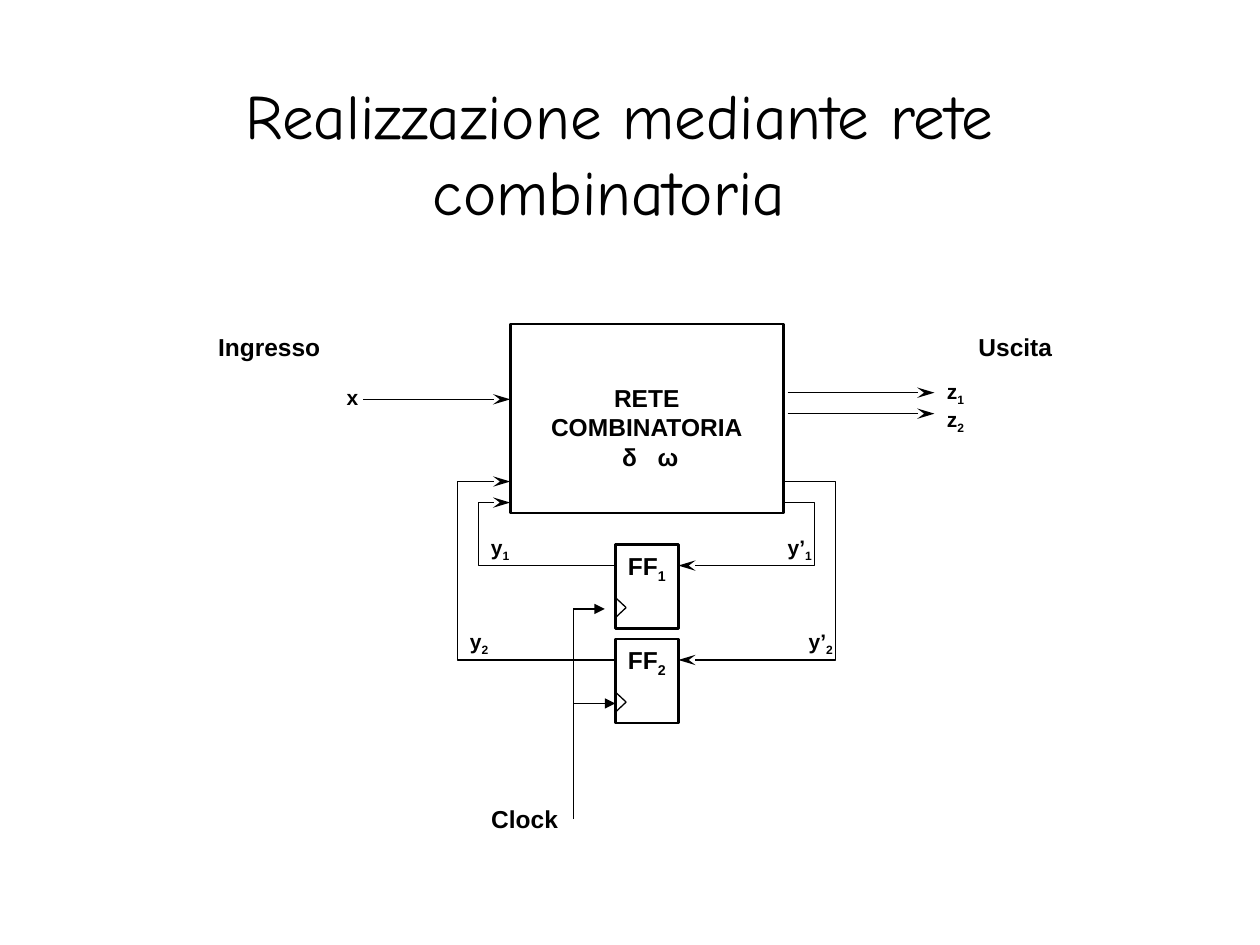
from dataclasses import dataclass
from typing import NamedTuple

from lxml import etree
from pptx import Presentation
from pptx import util as u
from pptx.dml.color import RGBColor
from pptx.enum import shapes, text
from pptx.oxml.ns import qn


@dataclass(frozen=True)
class Theme:
    ink: RGBColor = RGBColor(0, 0, 0)
    title_font: str = "Comic Neue"
    body_font: str = "Arial"
    title_size: float = 36
    block_size: float = 14
    signal_size: float = 12
    frame_width: float = 1.5
    wire_width: float = 0.75


class Box(NamedTuple):
    left: float
    top: float
    width: float
    height: float

    @property
    def right(self) -> float:
        return self.left + self.width

    def emu(self) -> list[int]:
        return [u.Pt(length) for length in self]


class Run(NamedTuple):
    text: str
    baseline: int = 0
    spacing: int = 0


class Point(NamedTuple):
    x: float
    y: float


@dataclass(frozen=True)
class FlipFlop:
    index: str
    frame: Box
    block_port_y: float
    reach: float

    @property
    def port_y(self) -> float:
        return self.frame.top + 12


THEME = Theme()
BLOCK = Box(291.6, 185.2, 156, 108)
FLIP_FLOPS = [
    FlipFlop("1", Box(351.6, 311.2, 36, 48), 287.2, 18),
    FlipFlop("2", Box(351.6, 365.2, 36, 48), 275.2, 30),
]


def indexed(symbol: str, index: str) -> list[Run]:
    return [Run(symbol), Run(index, baseline=-25000)]


def write(slide, box: Box, *paragraphs: list[Run], size: float = THEME.signal_size,
          font: str = THEME.body_font, bold: bool = True, margin: float = 0,
          align=text.PP_ALIGN.CENTER, anchor=text.MSO_ANCHOR.TOP,
          wrap: bool = True) -> None:
    frame = slide.shapes.add_textbox(*box.emu()).text_frame
    frame.word_wrap = wrap
    frame.vertical_anchor = anchor
    frame.margin_left = frame.margin_right = u.Pt(margin)
    frame.margin_top = frame.margin_bottom = u.Pt(3.6)
    for number, runs in enumerate(paragraphs):
        paragraph = frame.add_paragraph() if number else frame.paragraphs[0]
        paragraph.alignment = align
        for part in runs:
            run = paragraph.add_run()
            run.text = part.text
            run.font.size = u.Pt(size)
            run.font.name = font
            run.font.bold = bold
            run.font.color.rgb = THEME.ink
            properties = run._r.get_or_add_rPr()
            if part.baseline:
                properties.set("baseline", str(part.baseline))
            if part.spacing:
                properties.set("spc", str(part.spacing))


def ink_line(shape, width: float, arrow: str | None = None) -> None:
    shape.line.color.rgb = THEME.ink
    shape.line.width = u.Pt(width)
    if arrow:
        tail = etree.SubElement(shape.line._get_or_add_ln(), qn("a:tailEnd"))
        tail.set("type", arrow)
        if arrow == "stealth":
            tail.set("len", "lg")


def draw_frame(slide, box: Box) -> None:
    frame = slide.shapes.add_shape(shapes.MSO_SHAPE.RECTANGLE, *box.emu())
    frame.shadow.inherit = False
    frame.fill.background()
    ink_line(frame, THEME.frame_width)


def draw_line(slide, start: Point, end: Point, arrow: str | None = None) -> None:
    line = slide.shapes.add_connector(
        shapes.MSO_CONNECTOR.STRAIGHT, *[u.Pt(value) for value in (*start, *end)])
    ink_line(line, THEME.wire_width, arrow)
    etree.SubElement(line._element.spPr, qn("a:effectLst"))


def draw_wire(slide, points: list[Point]) -> None:
    start, *corners = [(u.Pt(point.x), u.Pt(point.y)) for point in points]
    builder = slide.shapes.build_freeform(*start)
    builder.add_line_segments(corners, close=False)
    wire = builder.convert_to_shape()
    wire.shadow.inherit = False
    wire.fill.background()
    ink_line(wire, THEME.wire_width, "stealth")


def draw_flip_flop(slide, flip_flop: FlipFlop) -> None:
    frame, port_y, block_y = flip_flop.frame, flip_flop.port_y, flip_flop.block_port_y
    next_x = BLOCK.right + flip_flop.reach
    state_x = BLOCK.left - flip_flop.reach
    draw_frame(slide, frame)
    draw_wire(slide, [Point(BLOCK.right, block_y), Point(next_x, block_y),
                      Point(next_x, port_y), Point(frame.right, port_y)])
    draw_wire(slide, [Point(frame.left, port_y), Point(state_x, port_y),
                      Point(state_x, block_y), Point(BLOCK.left, block_y)])
    notch = Point(frame.left + 6.2, frame.top + 36)
    for offset in (-5.8, 5.8):
        draw_line(slide, Point(frame.left, notch.y + offset), notch)
    write(slide, Box(frame.left, frame.top, 36, 26.6),
          indexed("FF", flip_flop.index), size=THEME.block_size)
    for symbol, label_x in (("y", state_x - 5.8), ("y’", next_x - 26.5)):
        write(slide, Box(label_x, port_y - 21.5, 36, 23.8),
              indexed(symbol, flip_flop.index))


def draw_clock(slide) -> None:
    clock_x = 327.6
    first_y, second_y = [flip_flop.frame.top + 36.8 for flip_flop in FLIP_FLOPS]
    draw_line(slide, Point(clock_x, 468), Point(clock_x, first_y))
    draw_line(slide, Point(clock_x, first_y), Point(345.6, first_y), "triangle")
    draw_line(slide, Point(clock_x, second_y),
              Point(FLIP_FLOPS[1].frame.left, second_y), "triangle")


def main() -> None:
    deck = Presentation()
    deck.slide_width, deck.slide_height = u.Pt(720), u.Pt(540)
    slide = deck.slides.add_slide(deck.slide_layouts[6])

    write(slide, Box(48, 42, 612, 90),
          [Run("Realizzazione mediante rete combinatoria ")],
          size=THEME.title_size, font=THEME.title_font, bold=False,
          margin=7.2, anchor=text.MSO_ANCHOR.MIDDLE)

    draw_frame(slide, BLOCK)
    write(slide, Box(BLOCK.left, 215.3, BLOCK.width, 57.6),
          [Run("RETE")], [Run("COMBINATORIA")],
          [Run(" δ"), Run(" ", spacing=780), Run("ω")],
          size=THEME.block_size, margin=7.2)

    draw_line(slide, Point(207.5, 228.2), Point(BLOCK.left, 228.2), "stealth")
    write(slide, Box(183.5, 216, 36, 36), [Run("x")])
    for output_y in (224.4, 236.4):
        draw_line(slide, Point(450, output_y), Point(534, output_y), "stealth")
    write(slide, Box(528, 212.5, 36, 56), indexed("z", "1"), indexed("z", "2"))

    for flip_flop in FLIP_FLOPS:
        draw_flip_flop(slide, flip_flop)
    draw_clock(slide)

    for caption, box in (("Ingresso", Box(117.5, 186, 76, 24.5)),
                         ("Uscita", Box(552, 186, 60, 24.5)),
                         ("Clock", Box(273.6, 456, 56, 24.5))):
        write(slide, box, [Run(caption)], size=THEME.block_size, margin=7.2,
              align=text.PP_ALIGN.LEFT)

    deck.save("out.pptx")


if __name__ == "__main__":
    main()
